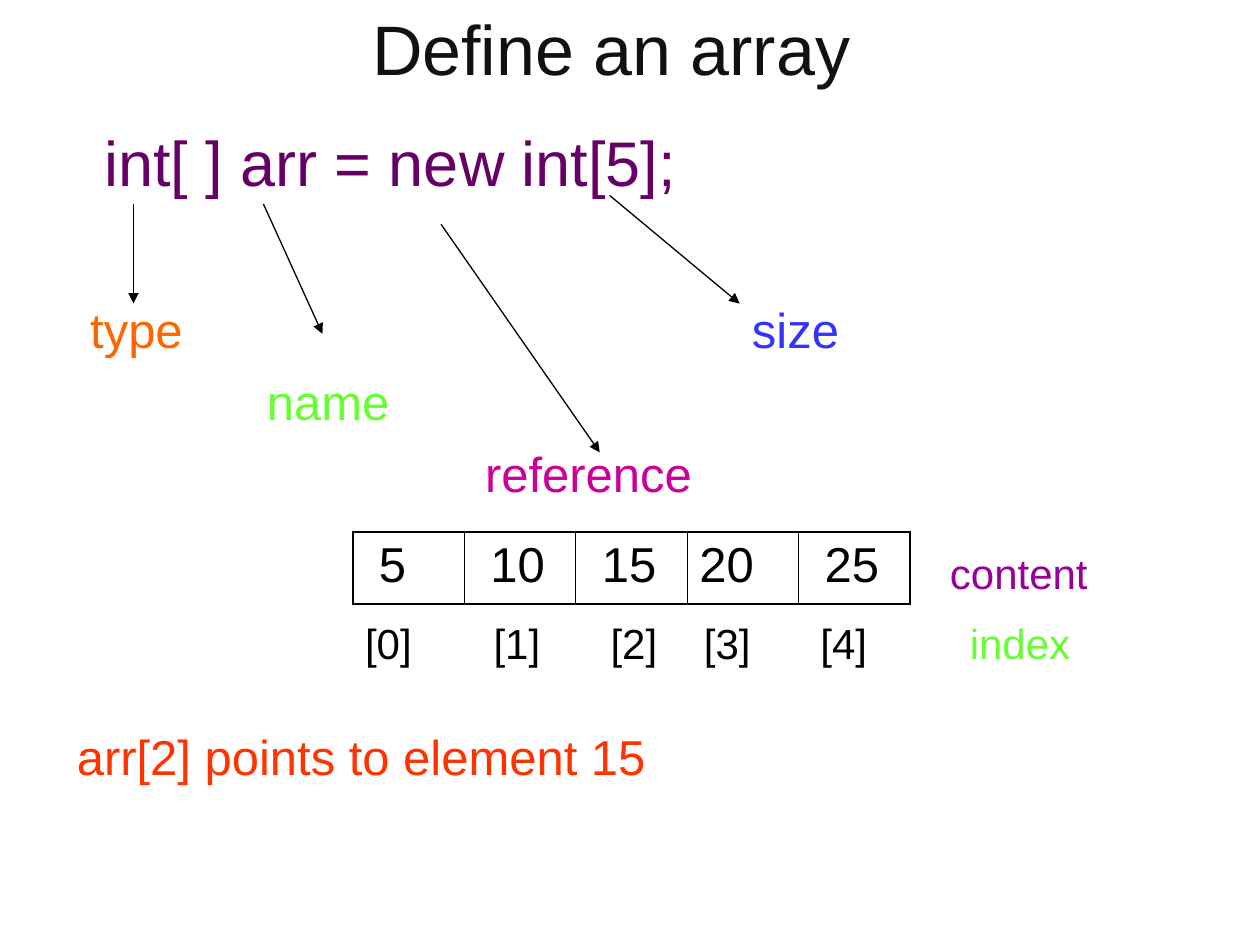
from lxml import etree
from pptx import Presentation
from pptx.dml.color import RGBColor
from pptx.enum import shapes, text
from pptx.oxml.ns import qn
from pptx.util import Cm, Pt

BLACK = "000000"


def rgb(code):
    return RGBColor.from_string(code)


def style(para, size, color):
    font = para.font
    font.name, font.size = "Arial", Pt(size)
    font.color.rgb = rgb(color)


def label(slide, words, left, top, width, height, size, color):
    box = slide.shapes.add_textbox(Cm(left), Cm(top), Cm(width), Cm(height))
    frame = box.text_frame
    frame.word_wrap = True
    para = frame.paragraphs[0]
    para.text = words
    style(para, size, color)
    return frame


def title(slide, words):
    frame = label(slide, words, 0.89, 0, 22.86, 1.93, 40, "111111")
    frame.vertical_anchor = text.MSO_ANCHOR.MIDDLE
    frame.paragraphs[0].alignment = text.PP_ALIGN.CENTER


def arrow(slide, *ends):
    line = slide.shapes.add_connector(
        shapes.MSO_CONNECTOR.STRAIGHT, *[Cm(end) for end in ends])
    line.line.color.rgb = rgb(BLACK)
    line.line.width = Pt(0.75)
    tail = etree.SubElement(line.line._get_or_add_ln(), qn("a:tailEnd"))
    tail.set("type", "triangle")
    etree.SubElement(line._element.spPr, qn("a:effectLst"))


def border(cell, side, width):
    props = cell._tc.get_or_add_tcPr()
    edge = etree.SubElement(props, qn(f"a:ln{side}"), w=str(Pt(width)))
    fill = etree.SubElement(edge, qn("a:solidFill"))
    etree.SubElement(fill, qn("a:srgbClr"), val=BLACK)


def array(slide, values):
    frame = slide.shapes.add_table(
        1, len(values), Cm(7.11), Cm(10.72), Cm(11.23), Cm(1.45))
    table = frame.table
    table.first_row = table.horz_banding = False
    last = len(values) - 1
    for col, (value, inset) in enumerate(values):
        cell = table.cell(0, col)
        cell.margin_left = Cm(inset)
        para = cell.text_frame.paragraphs[0]
        para.text = value
        style(para, 28, BLACK)
        border(cell, "L", 1.08 if col == 0 else 0.45)
        border(cell, "R", 1.08 if col == last else 0.45)
        border(cell, "T", 1.08)
        border(cell, "B", 1.08)
        cell.fill.background()


def indices(slide, count, stops):
    words = "\t".join(f"[{num}]" for num in range(count))
    frame = label(slide, words, 7.11, 12.32, 11.2, 1.27, 24, BLACK)
    props = frame.paragraphs[0]._p.get_or_add_pPr()
    tabs = etree.Element(qn("a:tabLst"))
    for stop in stops:
        etree.SubElement(tabs, qn("a:tab"), pos=str(Cm(stop)), algn="l")
    props.insert(0, tabs)


def main():
    deck = Presentation()
    deck.slide_width, deck.slide_height = Cm(25.4), Cm(19.05)
    slide = deck.slides.add_slide(deck.slide_layouts[6])

    title(slide, "Define an array")
    for words, left, top, width, height, size, color in (
        ("int[ ] arr = new int[5];", 1.85, 2.36, 14, 1.7, 36, "660066"),
        ("type", 1.57, 5.92, 3, 1.4, 28, "FF6600"),
        ("size", 14.91, 5.92, 3, 1.4, 28, "3333FF"),
        ("name", 5.13, 7.37, 4, 1.4, 28, "66FF33"),
        ("reference", 9.53, 8.81, 6, 1.4, 28, "CC0099"),
        ("arr[2] points to element 15", 1.3, 14.53, 14, 1.4, 28, "FF3300"),
        ("content", 18.9, 10.92, 4.8, 1.27, 24, "990099"),
        ("index", 19.3, 12.32, 3.81, 1.27, 24, "66FF33"),
    ):
        label(slide, words, left, top, width, height, size, color)

    for ends in (
        (2.69, 4.11, 2.69, 6.12),
        (5.31, 4.11, 6.5, 6.73),
        (8.89, 4.52, 12.09, 9.12),
        (12.29, 3.94, 14.91, 6.12),
    ):
        arrow(slide, *ends)

    values = (("5", 0.53), ("10", 0.53), ("15", 0.53),
              ("20", 0.25), ("25", 0.53))
    array(slide, values)
    indices(slide, len(values), (2.59, 4.95, 6.83, 9.18))
    deck.save("out.pptx")


if __name__ == "__main__":
    main()
